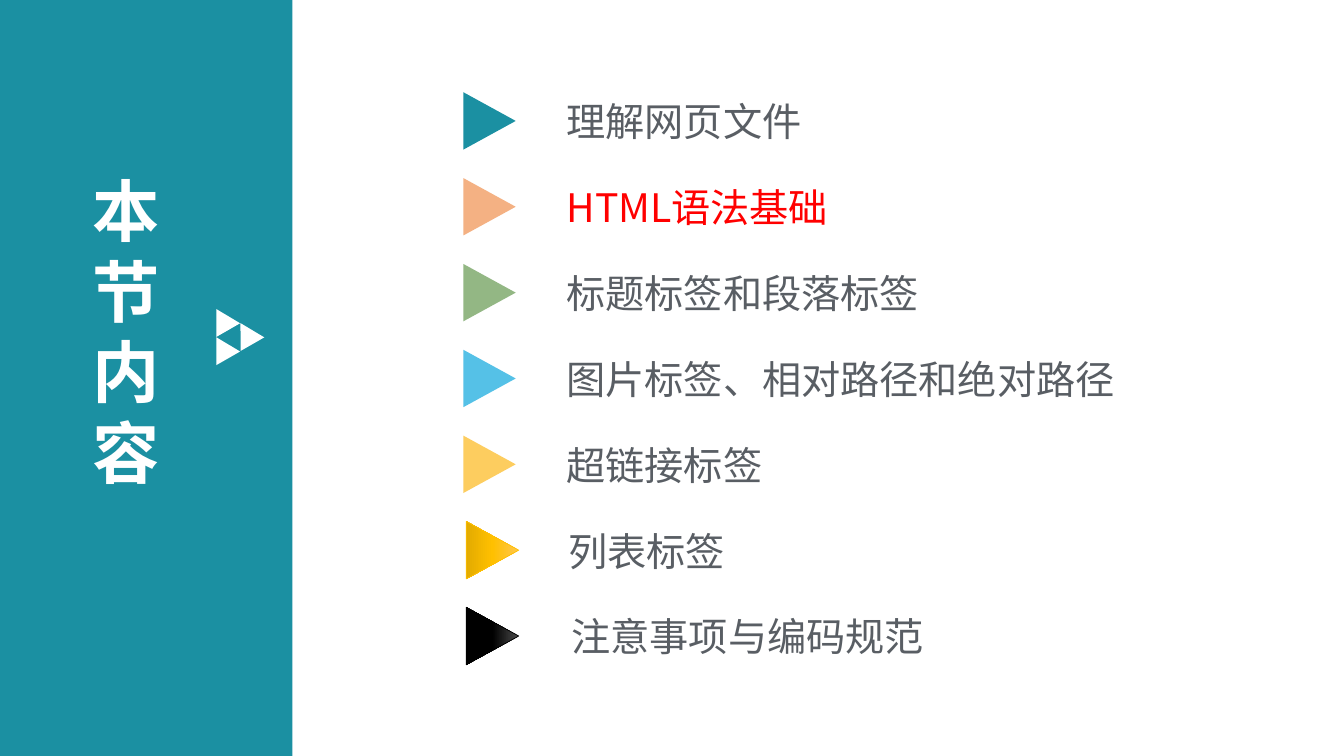
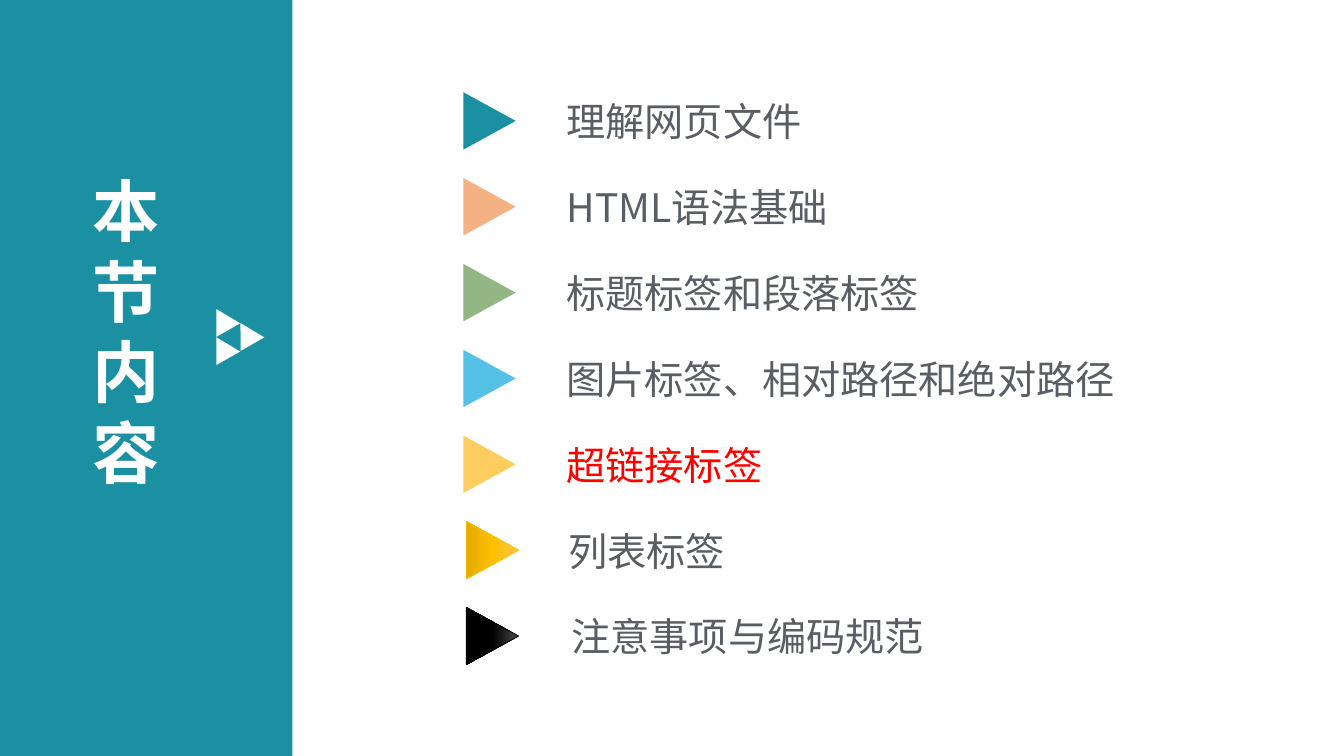
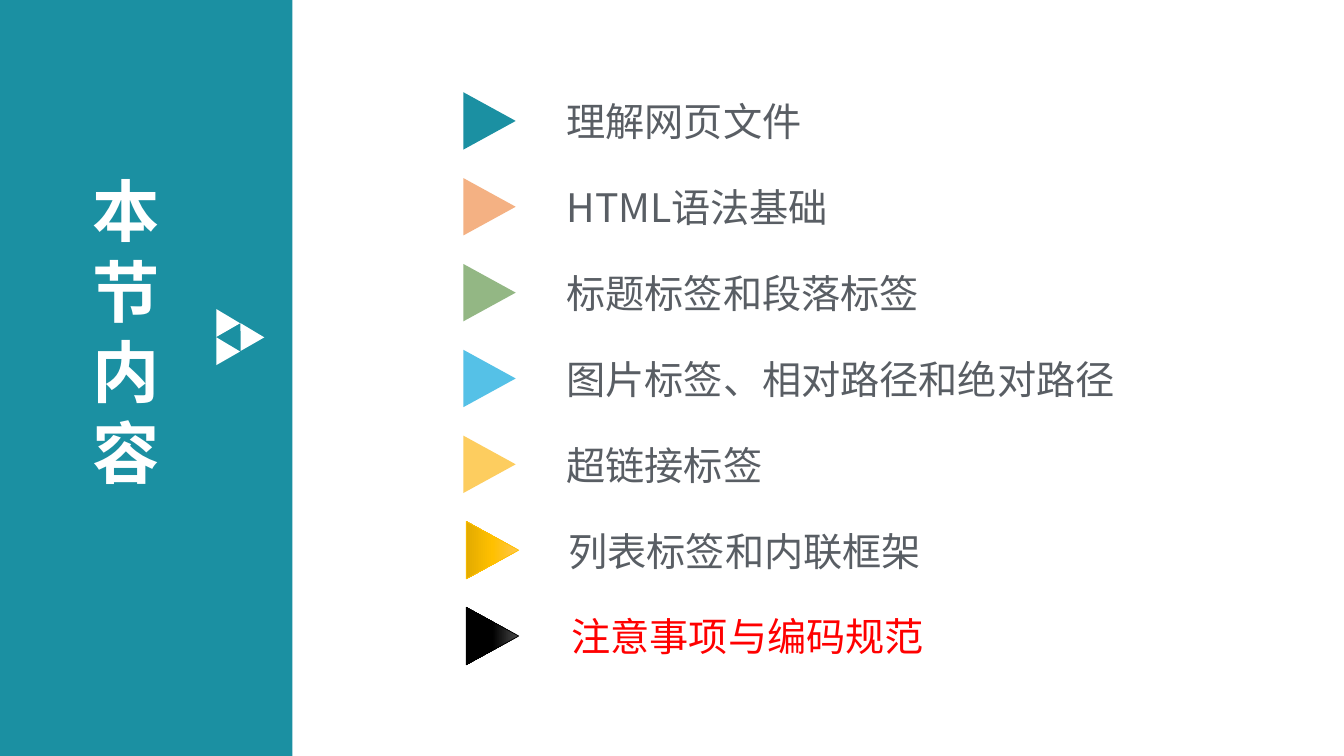
from pptx import Presentation
from pptx import util as u
from pptx.dml.color import RGBColor
from pptx.enum import shapes, text
from pptx.oxml import parse_xml
from pptx.oxml.ns import nsdecls

FONT = "Noto Sans CJK SC"
TEAL, WHITE, GREY, RED = "1B90A2", "FFFFFF", "595E64", "FF0000"
GOLD = ("FFC64B", "FFC000", "E3AB00")
BLACK = ("4B4B4B", "000000", "000000")
TOP, STEP = 0.92, 5.11 / 6
LIST = [
    ("理解网页文件", TEAL, 4.57, 5.52, 4.24),
    ("HTML语法基础", "F4B183", 4.57, 5.52, 6.95),
    ("标题标签和段落标签", "93B784", 4.57, 5.52, 7.14),
    ("图片标签、相对路径和绝对路径", "55C1E7", 4.57, 5.52, 5.96),
    ("超链接标签", "FDCD5F", 4.57, 5.52, 5.72),
    ("列表标签", GOLD, 4.6, 5.54, 5.93),
    ("注意事项与编码规范", BLACK, 4.6, 5.57, 4.24),
]


def color(code):
    return RGBColor.from_string(code)


def write(frame, words, size=28, ink=GREY, bold=False):
    run = frame.paragraphs[0].add_run()
    run.text = words
    font = run.font
    font.size, font.bold, font.name = u.Pt(size), bold, FONT
    font.color.rgb = color(ink)
    face = parse_xml(f'<a:ea {nsdecls("a")} typeface="{FONT}"/>')
    font._element.find("{*}latin").addnext(face)


class Deck:
    def __init__(self):
        self.file = Presentation()
        self.file.slide_width = u.Inches(13.33)
        self.file.slide_height = u.Inches(7.5)
        self.slide = None

    def page(self):
        self.slide = self.file.slides.add_slide(self.file.slide_layouts[6])

    def shape(self, kind, box, fill, turn=0):
        item = self.slide.shapes.add_shape(kind, *map(u.Inches, box))
        item.shadow.inherit = False
        item.rotation = turn
        if isinstance(fill, tuple):
            self.blend(item, fill)
        else:
            item.fill.solid()
            item.fill.fore_color.rgb = color(fill)
            item.line.fill.background()

    def blend(self, item, codes):
        item.fill.gradient()
        item.fill.gradient_angle = 270
        stops = item._element.spPr.find("{*}gradFill/{*}gsLst")
        stops.clear()
        for place, code in zip((0, 50000, 100000), codes):
            stops.append(parse_xml(
                f'<a:gs {nsdecls("a")} pos="{place}">'
                f'<a:srgbClr val="{code}"/></a:gs>'))
        item.line.color.rgb = color(codes[1])
        item.line.width = u.Pt(0.5)

    def mark(self, box, fill, turn=90):
        self.shape(shapes.MSO_SHAPE.ISOSCELES_TRIANGLE, box, fill, turn)

    def label(self, box, words, **style):
        frame = self.slide.shapes.add_textbox(*map(u.Inches, box)).text_frame
        frame.word_wrap = True
        frame.auto_size = text.MSO_AUTO_SIZE.SHAPE_TO_FIT_TEXT
        write(frame, words, **style)

    def band(self):
        self.shape(shapes.MSO_SHAPE.RECTANGLE, (-0.06, -0.03, 2.96, 7.56), TEAL)
        self.label((0.82, 1.63, 0.92, 3.33), "本节内容",
                   size=48, ink=WHITE, bold=True)
        for left, top in ((2.07, 3.05), (2.07, 3.33), (2.31, 3.19)):
            self.mark((left, top, 0.27, 0.24), WHITE, 330.2)

    def agenda(self, focus, swaps):
        self.page()
        self.band()
        for row, (words, fill, left, start, width) in enumerate(LIST):
            top = TOP + row * STEP
            self.mark((left, top + 0.02, 0.57, 0.52), fill)
            self.label((start, top, width, 0.57), swaps.get(row, words),
                       ink=RED if row == focus else GREY)


def main():
    deck = Deck()
    for focus, swaps in ((1, {}), (4, {}), (6, {5: "列表标签和内联框架"})):
        deck.agenda(focus, swaps)
    deck.file.save("out.pptx")


if __name__ == "__main__":
    main()
